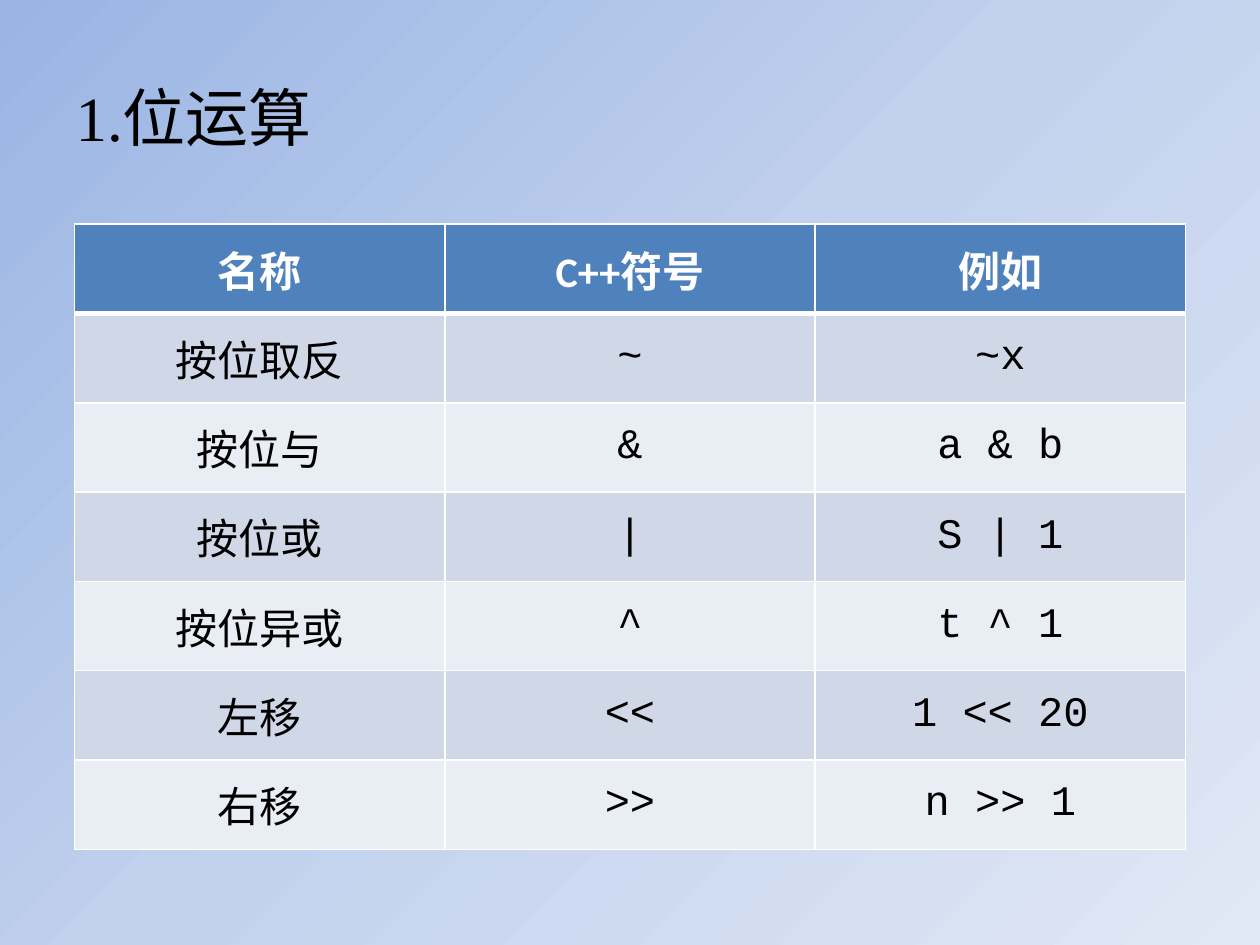
from copy import deepcopy
from dataclasses import dataclass

from lxml.etree import SubElement
from pptx import Presentation
from pptx.dml.color import RGBColor as RGB
from pptx.enum.text import MSO_ANCHOR as Anchor, PP_ALIGN as Align
from pptx.oxml.ns import qn
from pptx.util import Cm, Pt


@dataclass(frozen=True)
class Theme:
    backdrop: tuple = ((0, "9AB5E4"), (0.5, "C2D1ED"), (1, "E1E8F5"))
    ink: str = "000000"
    white: str = "FFFFFF"
    header: str = "4F81BD"
    bands: tuple = ("D0D8E8", "E9EDF4")
    title_font: str = "Times New Roman"
    name_font: str = "Calibri"
    code_font: str = "Courier New"
    title_size: int = 36
    table_size: int = 24
    thin_rule: int = 1
    thick_rule: int = 3


THEME = Theme()
OPERATORS = (
    ("名称", "C++符号", "例如"),
    ("按位取反", "~", "~x"),
    ("按位与", "&", "a & b"),
    ("按位或", "|", "S | 1"),
    ("按位异或", "^", "t ^ 1"),
    ("左移", "<<", "1 << 20"),
    ("右移", ">>", "n >> 1"),
)


def set_all(target, values):
    for name, value in values.items():
        setattr(target, name, value)


def write(frame, words, align, color, **font_values):
    frame.vertical_anchor = Anchor.MIDDLE
    paragraph = frame.paragraphs[0]
    paragraph.alignment = align
    run = paragraph.add_run()
    run.text = words
    set_all(run.font, font_values)
    run.font.color.rgb = RGB.from_string(color)


def paint_backdrop(slide):
    fill = slide.background.fill
    fill.gradient()
    fill.gradient_angle = 315
    stop_list = slide.element.xpath(".//p:bg//a:gsLst")[0]
    stop_list.append(deepcopy(stop_list[0]))
    for stop, (position, color) in zip(fill.gradient_stops, THEME.backdrop):
        stop.position = position
        stop.color.rgb = RGB.from_string(color)


def place_title(slide, words, left, top, width, height):
    title = slide.shapes.title
    set_all(title, {"left": left, "top": top, "width": width, "height": height})
    write(title.text_frame, words, Align.LEFT, THEME.ink,
          size=Pt(THEME.title_size), name=THEME.title_font)


def rule_cell(cell, weights):
    properties = cell._tc.get_or_add_tcPr()
    for side, weight in weights.items():
        line = SubElement(properties, qn(f"a:ln{side}"), w=str(Pt(weight)))
        fill = SubElement(line, qn("a:solidFill"))
        SubElement(fill, qn("a:srgbClr"), val=THEME.white)


def format_cell(cell, words, row, column):
    is_header = row == 0
    thin, thick = THEME.thin_rule, THEME.thick_rule
    rule_cell(cell, {"L": thin, "R": thin,
                     "T": thick if row == 1 else thin,
                     "B": thick if is_header else thin})
    cell.fill.solid()
    cell.fill.fore_color.rgb = RGB.from_string(
        THEME.header if is_header else THEME.bands[(row - 1) % 2])
    cell.vertical_anchor = Anchor.MIDDLE
    is_name = is_header or column == 0
    write(cell.text_frame, words, Align.CENTER,
          THEME.white if is_header else THEME.ink,
          size=Pt(THEME.table_size), bold=is_header,
          name=THEME.name_font if is_name else THEME.code_font)


def place_operators(slide, entries, left, top, width, height):
    table = slide.shapes.add_table(
        len(entries), len(entries[0]), left, top, width, height).table
    for row, entry in enumerate(entries):
        for column, words in enumerate(entry):
            format_cell(table.cell(row, column), words, row, column)


def main():
    deck = Presentation()
    set_all(deck, {"slide_width": Cm(25.4), "slide_height": Cm(19.05)})
    slide = deck.slides.add_slide(deck.slide_layouts[5])
    paint_backdrop(slide)
    place_title(slide, "1.位运算", Cm(1.27), Cm(0.76), Cm(22.86), Cm(3.18))
    place_operators(slide, OPERATORS, Cm(1.5), Cm(4.52), Cm(22.4), Cm(12.6))
    deck.save("out.pptx")


if __name__ == "__main__":
    main()
